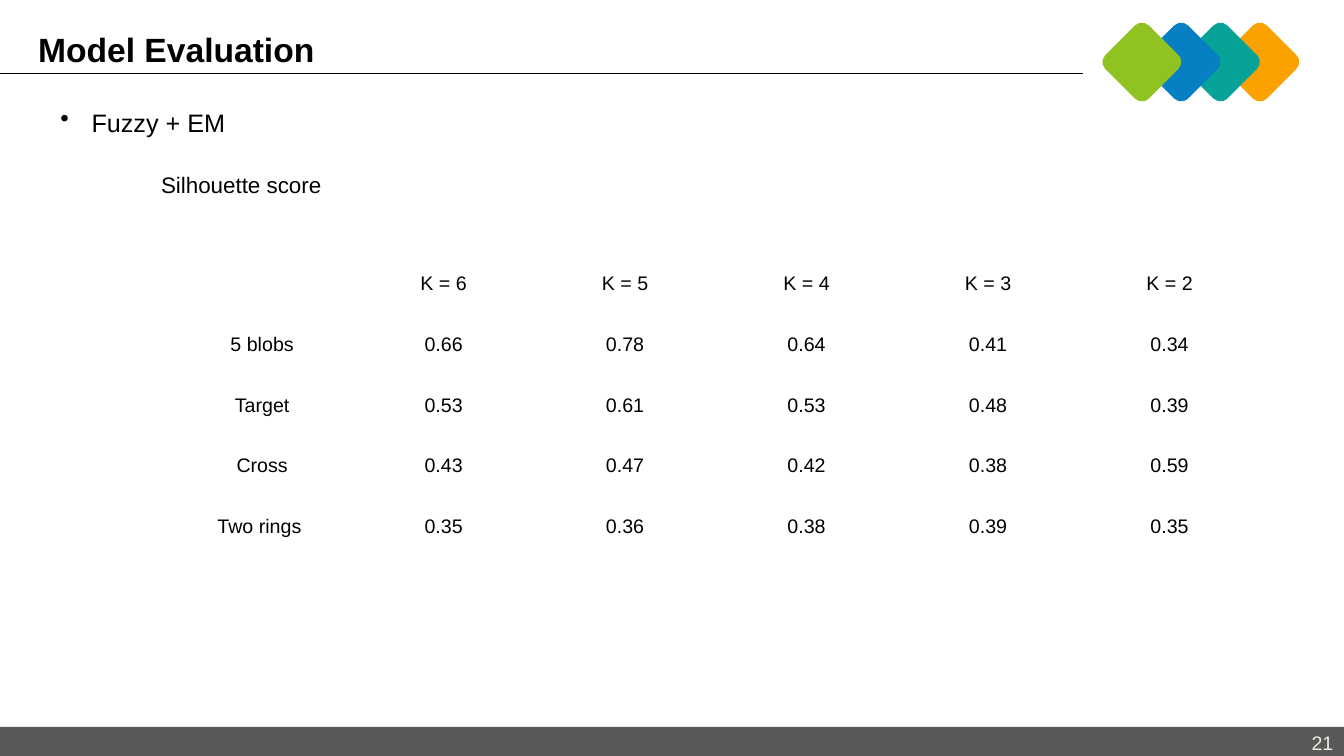
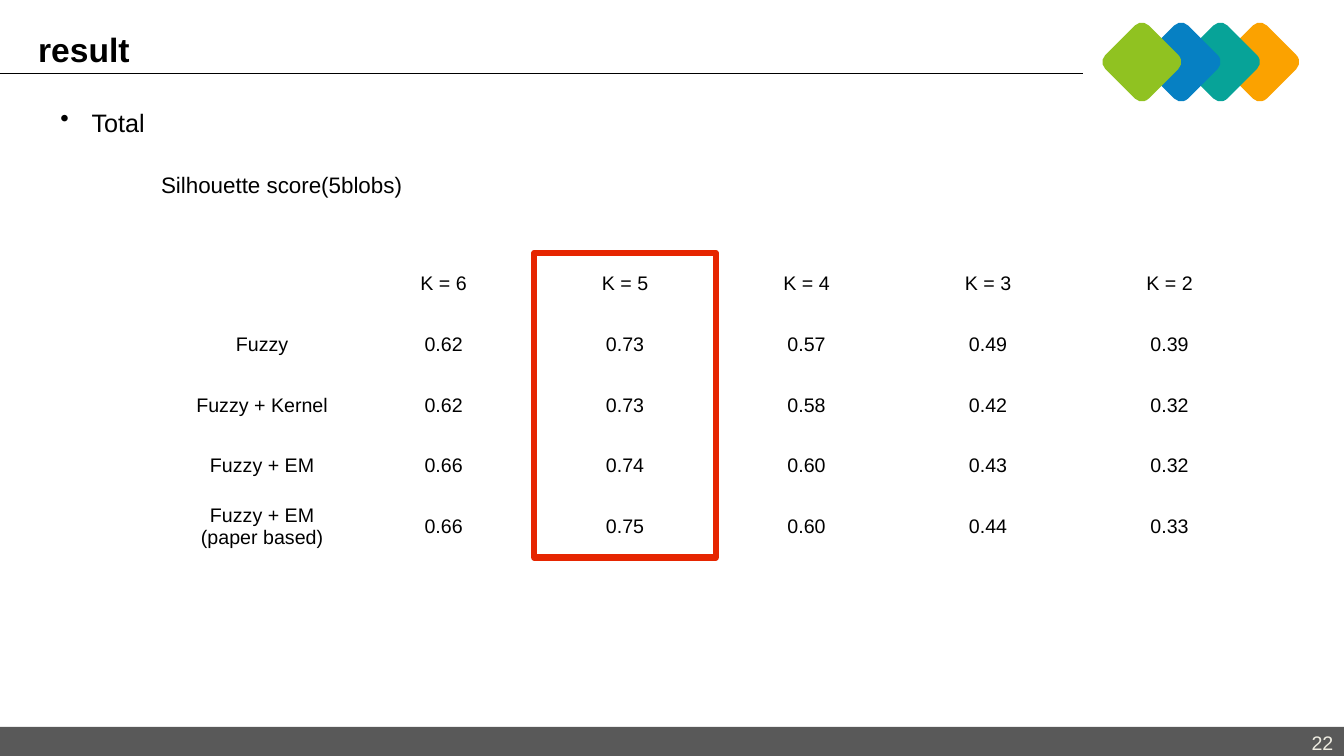
from lxml.etree import SubElement
from pptx import Presentation
from pptx.dml.color import RGBColor
from pptx.enum.shapes import MSO_CONNECTOR as Connector, MSO_SHAPE as Preset
from pptx.enum.text import MSO_ANCHOR as Anchor, PP_ALIGN as Align
from pptx.oxml.ns import qn
from pptx.util import Inches, Pt

COLOURS = {
    "ink": "000000", "band": "595959", "number": "EEECE1", "highlight": "E62601",
    "orange": "FBA200", "teal": "07A398", "blue": "0680C3", "green": "90C221",
}
FONT = "Arial"
WIDTH, HEIGHT = 13.33, 7.5
BAND_H = 0.29
DIAMONDS = ["orange", "teal", "blue", "green"]
DIAMOND_SIZE, DIAMOND_STEP = 0.61, 0.39
TABLE_LEFT, TABLE_TOP = 1.7, 2.51
COL_W, TABLE_H = 1.8, 3.02
CLUSTER_HEADS = ["", "K = 6", "K = 5", "K = 4", "K = 3", "K = 2"]

PAGES = [
    {
        "number": 21, "title": "Model Evaluation",
        "bullet": "Fuzzy + EM", "measure": "Silhouette score",
        "scores": [
            ["5 blobs", "0.66", "0.78", "0.64", "0.41", "0.34"],
            ["Target", "0.53", "0.61", "0.53", "0.48", "0.39"],
            ["Cross", "0.43", "0.47", "0.42", "0.38", "0.59"],
            ["Two rings ", "0.35", "0.36", "0.38", "0.39", "0.35"],
        ],
    },
    {
        "number": 22, "title": "result",
        "bullet": "Total", "measure": "Silhouette score(5blobs)",
        "scores": [
            ["Fuzzy", "0.62", "0.73", "0.57", "0.49", "0.39"],
            ["Fuzzy + Kernel", "0.62", "0.73", "0.58", "0.42", "0.32"],
            ["Fuzzy + EM", "0.66", "0.74", "0.60", "0.43", "0.32"],
            ["Fuzzy + EM\n(paper based)", "0.66", "0.75", "0.60", "0.44", "0.33"],
        ],
        "best": "K = 5",
    },
]


def rgb(name):
    return RGBColor.from_string(COLOURS[name])


def box(left, top, width, height):
    return [Inches(length) for length in (left, top, width, height)]


def style(paragraph, size, colour="ink", bold=False):
    font = paragraph.font
    font.name, font.size, font.bold = FONT, Pt(size), bold
    font.color.rgb = rgb(colour)
    for run in paragraph.runs:
        run.font.name, run.font.size, run.font.bold = FONT, Pt(size), bold
        run.font.color.rgb = rgb(colour)


def add_text(slide, place, text, size, colour="ink", bold=False):
    frame = slide.shapes.add_textbox(*box(*place)).text_frame
    frame.word_wrap = True
    frame.text = text
    style(frame.paragraphs[0], size, colour, bold)
    return frame


def add_block(slide, preset, place, fill):
    block = slide.shapes.add_shape(preset, *box(*place))
    block.shadow.inherit = False
    block.fill.solid()
    block.fill.fore_color.rgb = rgb(fill)
    block.line.fill.background()
    return block


def add_frame(slide, title, number):
    """Draw the footer, title, rule and diamonds that every slide has."""
    band_top = HEIGHT - BAND_H
    add_block(slide, Preset.RECTANGLE, (0, band_top, WIDTH, BAND_H), "band")
    add_text(slide, (12.91, band_top - 0.01, 0.44, 0.34), str(number), 14, "number")

    rule = slide.shapes.add_connector(
        Connector.STRAIGHT, 0, Inches(0.73), Inches(10.74), Inches(0.73))
    rule.line.color.rgb = rgb("ink")
    rule.line.width = Pt(0.75)
    SubElement(rule._element.spPr, qn("a:effectLst"))

    for step, colour in enumerate(DIAMONDS):
        place = (12.19 - step * DIAMOND_STEP, 0.31, DIAMOND_SIZE, DIAMOND_SIZE)
        diamond = add_block(slide, Preset.ROUNDED_RECTANGLE, place, colour)
        diamond.adjustments[0] = 0.16
        diamond.rotation = 315

    add_text(slide, (0.28, 0.24, 4.08, 0.5), title, 24, bold=True)


def indent(paragraph, left, first_line=0.0):
    props = paragraph._p.get_or_add_pPr()
    props.set("marL", str(Inches(left)))
    props.set("indent", str(Inches(first_line)))
    return props


def add_topic(slide, bullet, measure):
    frame = add_text(slide, (0.5, 0.96, 4.26, 0.39), bullet, 18)
    frame.margin_top = frame.margin_bottom = Inches(0.1)
    topic = frame.paragraphs[0]
    SubElement(indent(topic, 0.31, -0.31), qn("a:buChar"), char="•")

    detail = frame.add_paragraph()
    detail.text = measure
    detail.space_before = Pt(24)
    indent(detail, 1)
    style(detail, 16)


def add_scores(slide, rows):
    place = box(TABLE_LEFT, TABLE_TOP, COL_W * len(rows[0]), TABLE_H)
    table = slide.shapes.add_table(len(rows), len(rows[0]), *place).table
    table.first_row = table.horz_banding = False
    for row, values in enumerate(rows):
        for col, value in enumerate(values):
            cell = table.cell(row, col)
            cell.fill.background()
            cell.vertical_anchor = Anchor.MIDDLE
            cell.text_frame.text = value
            for paragraph in cell.text_frame.paragraphs:
                paragraph.alignment = Align.CENTER
                style(paragraph, 14)


def outline_column(slide, col):
    place = box(TABLE_LEFT + col * COL_W, TABLE_TOP, COL_W, TABLE_H)
    outline = slide.shapes.add_shape(Preset.RECTANGLE, *place)
    outline.shadow.inherit = False
    outline.fill.background()
    outline.line.color.rgb = rgb("highlight")
    outline.line.width = Pt(4.5)


def main():
    deck = Presentation()
    deck.slide_width, deck.slide_height = Inches(WIDTH), Inches(HEIGHT)
    for page in PAGES:
        slide = deck.slides.add_slide(deck.slide_layouts[6])
        add_frame(slide, page["title"], page["number"])
        add_topic(slide, page["bullet"], page["measure"])
        add_scores(slide, [CLUSTER_HEADS] + page["scores"])
        if "best" in page:
            outline_column(slide, CLUSTER_HEADS.index(page["best"]))
    deck.save("out.pptx")


if __name__ == "__main__":
    main()
